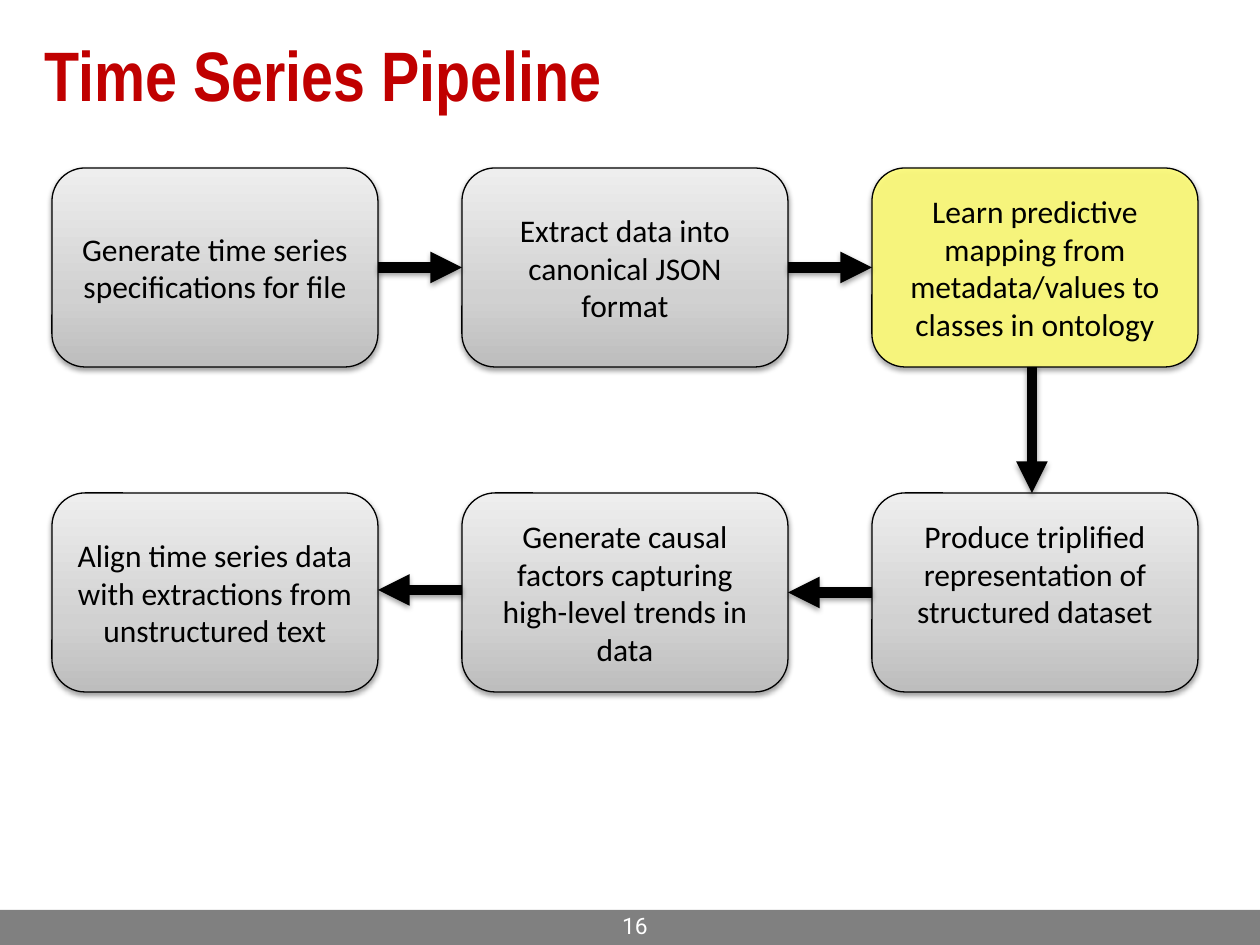
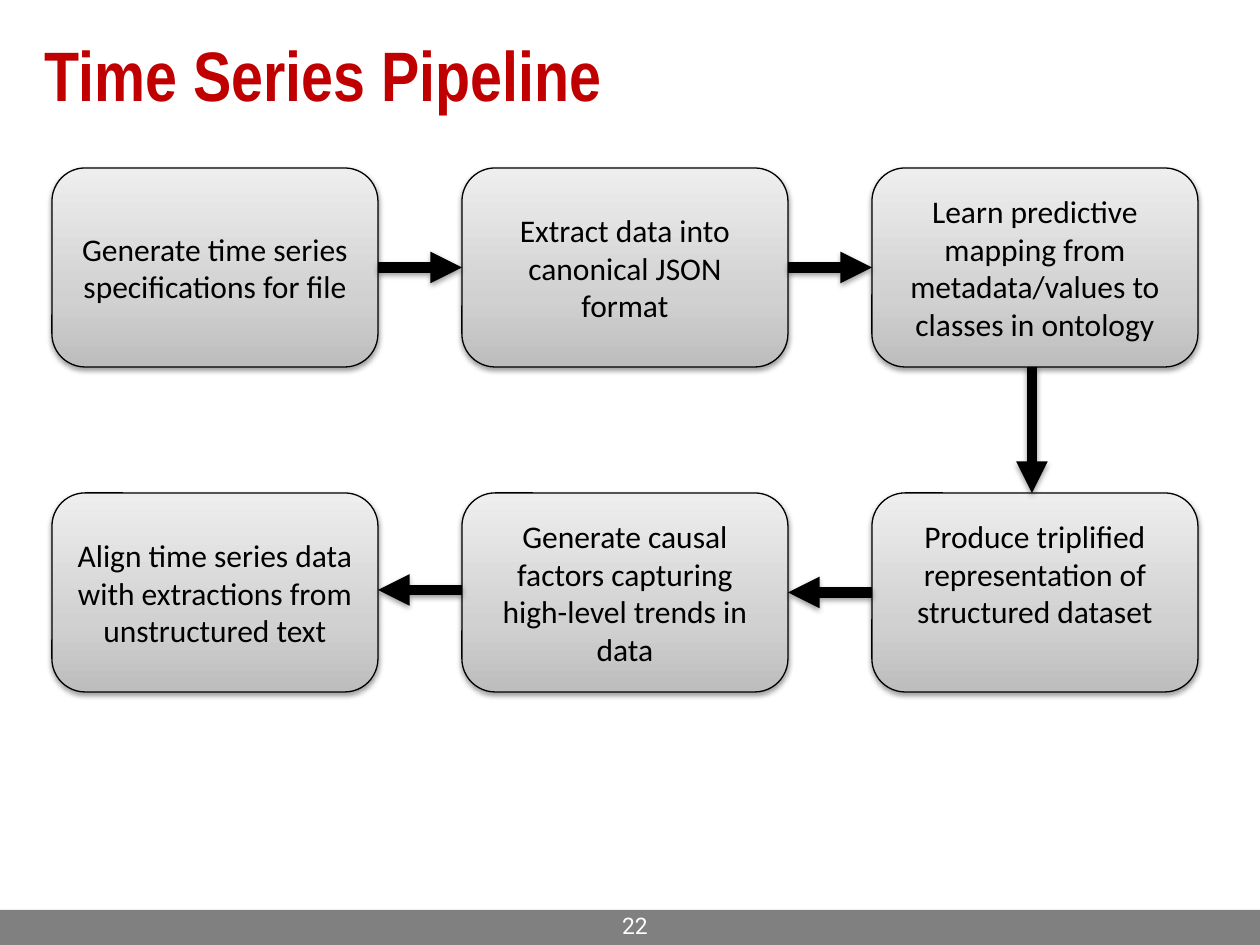
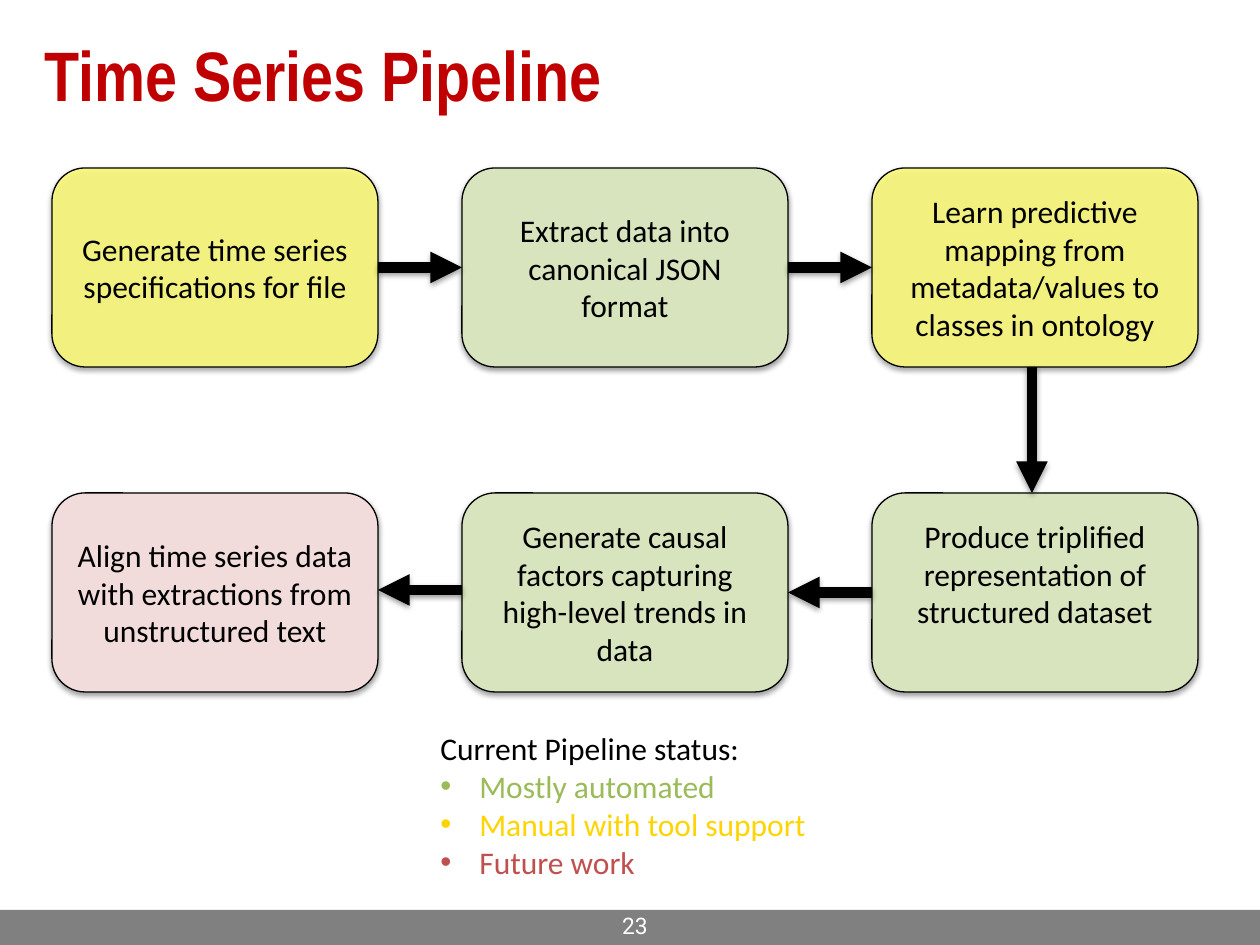
from copy import deepcopy

from pptx import Presentation
from pptx import util as u
from pptx.dml.color import RGBColor
from pptx.enum import shapes, text
from pptx.oxml import parse_xml
from pptx.oxml.ns import nsdecls, qn
from pptx.oxml.xmlchemy import OxmlElement

COLORS = {
    "title": "C00000", "band": "808080", "white": "FFFFFF", "ink": "000000",
    "manual": "FFFD78", "automated": "D7E4BD", "future": "F2DCDB",
    "automated text": "9BBB59", "manual text": "FFD400", "future text": "C0504D",
}
GRAY_STOPS = [(0, "BDBDBD"), (0.35, "D1D1D1"), (1, "EEEEEE")]

SLIDE_W, SLIDE_H = 1260, 945
BAND = (0, 910, SLIDE_W, 35)
NUMBER = (597, 920, 63, 19)
TITLE = (32, 0, 1223, 147)
PIPELINE = (52, 168, 1146, 524)
STATUS = (428, 723, 431, 165)
STEP_W, STEP_H = 326, 199
LINE_H = 38

STEPS = [
    ("Generate time series specifications for file", 0, 0),
    ("Extract data into canonical JSON format", 1, 0),
    ("Learn predictive mapping from metadata/values to classes in ontology", 2, 0),
    ("Produce triplified representation of structured dataset", 2, 1),
    ("Generate causal factors capturing high-level trends in data", 1, 1),
    ("Align time series data with extractions from unstructured text", 0, 1),
]
LEGEND = [
    ("Current Pipeline status:", "ink"),
    ("Mostly automated", "automated text"),
    ("Manual with tool support", "manual text"),
    ("Future work", "future text"),
]
GRAY = ("gray", 100)
DONE = ("automated", 100)
TOOL = ("manual", 85)
SLIDES = [
    ("16", [GRAY, GRAY, ("manual", 90), GRAY, GRAY, GRAY], False),
    ("22", [GRAY] * 6, False),
    ("23", [TOOL, DONE, TOOL, DONE, DONE, ("future", 100)], True),
]


def px(n):
    return u.Emu(round(n * 914400 / 126))


def place(box):
    return [px(n) for n in box]


def rgb(name):
    return RGBColor.from_string(COLORS[name])


def style(paragraph, size, font, color, align=text.PP_ALIGN.LEFT, bold=False):
    paragraph.alignment = align
    for run in paragraph.runs:
        run.font.size = u.Pt(size)
        run.font.name = font
        run.font.bold = bold
        run.font.color.rgb = rgb(color)


def add_shadow(shape):
    sp_pr = shape._element.spPr
    effects = sp_pr.find(qn("a:effectLst"))
    if effects is None:
        effects = OxmlElement("a:effectLst")
        sp_pr.append(effects)
    effects.append(parse_xml(
        f'<a:outerShdw {nsdecls("a")} blurRad="40000" dist="20000" dir="5400000" rotWithShape="0">'
        f'<a:srgbClr val="{COLORS["ink"]}"><a:alpha val="38000"/></a:srgbClr></a:outerShdw>'))


def fill_gray(step):
    step.fill.gradient()
    step.fill.gradient_angle = 90
    stop_list = step._element.spPr.find(".//" + qn("a:gsLst"))
    stop_list.insert(1, deepcopy(stop_list[0]))
    for stop, (position, color) in zip(step.fill.gradient_stops, GRAY_STOPS):
        stop.position = position
        stop.color.rgb = RGBColor.from_string(color)


def fill_solid(step, color, opacity):
    step.fill.solid()
    step.fill.fore_color.rgb = rgb(color)
    if opacity < 100:
        alpha = OxmlElement("a:alpha")
        alpha.set("val", str(opacity * 1000))
        step._element.spPr.find(".//" + qn("a:srgbClr")).append(alpha)


def add_step(slide, box, label, fill):
    step = slide.shapes.add_shape(shapes.MSO_SHAPE.ROUNDED_RECTANGLE, *place(box))
    step.shadow.inherit = False
    add_shadow(step)
    if fill == GRAY:
        fill_gray(step)
    else:
        fill_solid(step, *fill)
    step.line.color.rgb = rgb("ink")
    step.line.width = u.Pt(0.75)
    frame = step.text_frame
    frame.word_wrap = True
    frame.vertical_anchor = text.MSO_ANCHOR.MIDDLE
    frame.text = label
    style(frame.paragraphs[0], 18, "Calibri", "ink", text.PP_ALIGN.CENTER)
    return step


def add_arrow(slide, start=(0, 0), end=(0, 0)):
    arrow = slide.shapes.add_connector(
        shapes.MSO_CONNECTOR.STRAIGHT, *place(start), *place(end))
    arrow.line.color.rgb = rgb("ink")
    arrow.line.width = u.Pt(6)
    head = OxmlElement("a:tailEnd")
    head.set("type", "triangle")
    arrow.line._get_or_add_ln().append(head)
    add_shadow(arrow)
    return arrow


def add_pipeline(slide, box, fills):
    left, top, width, height = box
    column_pitch = (width - STEP_W) / 2
    row_pitch = height - STEP_H
    steps = [
        add_step(slide, (left + column * column_pitch, top + row * row_pitch, STEP_W, STEP_H), label, fill)
        for (label, column, row), fill in zip(STEPS, fills)
    ]
    generate, extract, learn, produce, causal, align = steps
    produce.text_frame.margin_bottom = px(6 + LINE_H)

    for source, source_side, target, target_side in [
            (generate, 3, extract, 1), (extract, 3, learn, 1), (produce, 1, causal, 3)]:
        arrow = add_arrow(slide)
        arrow.begin_connect(source, source_side)
        arrow.end_connect(target, target_side)

    align_y = top + row_pitch + 97
    add_arrow(slide, (left + column_pitch, align_y), (left + STEP_W, align_y))
    down_x = left + 980
    add_arrow(slide, (down_x, top + STEP_H), (down_x, top + row_pitch))


def add_status(slide, box):
    frame = slide.shapes.add_textbox(*place(box)).text_frame
    frame.word_wrap = True
    frame.text = "\n".join(label for label, _ in LEGEND)
    for i, (paragraph, (_, color)) in enumerate(zip(frame.paragraphs, LEGEND)):
        if i:
            properties = paragraph._p.get_or_add_pPr()
            properties.set("marL", str(px(39)))
            properties.set("indent", str(px(-39)))
            properties.append(parse_xml(f'<a:buFont {nsdecls("a")} typeface="Arial"/>'))
            properties.append(parse_xml(f'<a:buChar {nsdecls("a")} char="•"/>'))
        style(paragraph, 18, "Calibri", color)


def add_title(slide, box):
    title = slide.shapes.title
    title.left, title.top, title.width, title.height = place(box)
    title.text_frame.text = "Time Series Pipeline"
    title.text_frame.vertical_anchor = text.MSO_ANCHOR.MIDDLE
    style(title.text_frame.paragraphs[0], 40, "Arial Narrow", "title", bold=True)


def add_number(slide, box, number):
    frame = slide.shapes.add_textbox(*place(box)).text_frame
    frame.word_wrap = True
    frame.vertical_anchor = text.MSO_ANCHOR.BOTTOM
    frame.margin_bottom = 0
    frame.text = number
    style(frame.paragraphs[0], 13, "Roboto", "white", text.PP_ALIGN.RIGHT)


def move_band_to_layout(slide, box):
    band = slide.shapes.add_shape(shapes.MSO_SHAPE.RECTANGLE, *place(box))
    band.shadow.inherit = False
    band.fill.solid()
    band.fill.fore_color.rgb = rgb("band")
    band.line.fill.background()
    slide.slide_layout.shapes._spTree.insert(2, band._element)


def main():
    deck = Presentation()
    deck.slide_width, deck.slide_height = px(SLIDE_W), px(SLIDE_H)
    for i, (number, fills, has_status) in enumerate(SLIDES):
        slide = deck.slides.add_slide(deck.slide_layouts[5])
        if i == 0:
            move_band_to_layout(slide, BAND)
        add_number(slide, NUMBER, number)
        add_title(slide, TITLE)
        add_pipeline(slide, PIPELINE, fills)
        if has_status:
            add_status(slide, STATUS)
    deck.save("out.pptx")


if __name__ == "__main__":
    main()
